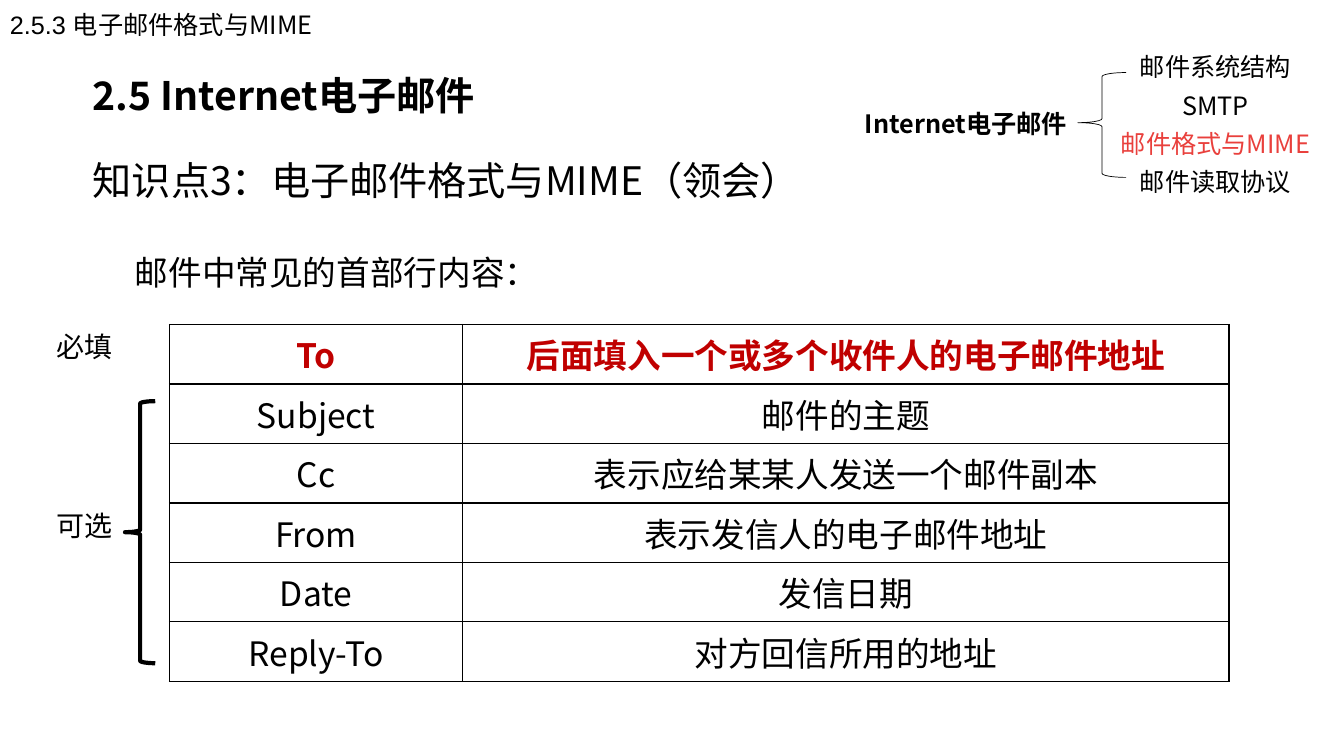
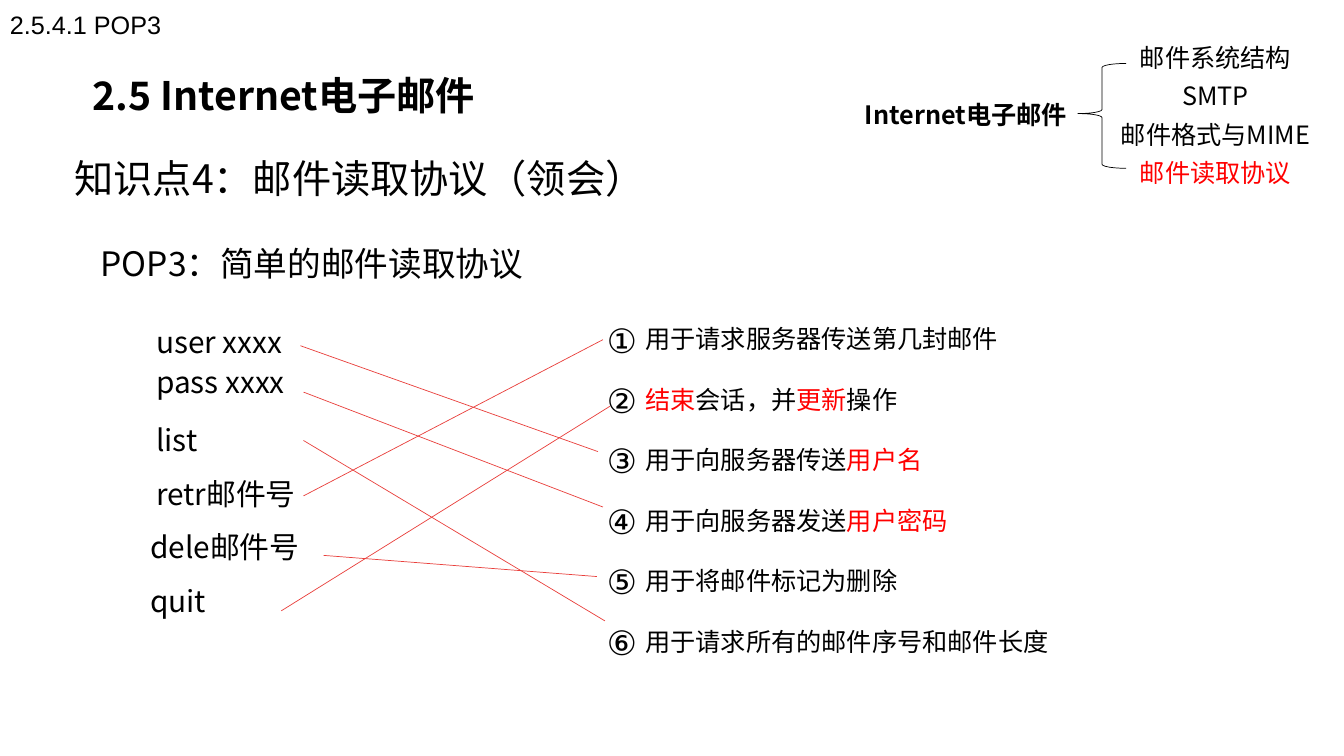
from dataclasses import dataclass

from lxml import etree
from pptx import Presentation
from pptx.dml.color import RGBColor
from pptx.enum.shapes import MSO_CONNECTOR, MSO_SHAPE
from pptx.enum.text import MSO_ANCHOR, MSO_AUTO_SIZE, PP_ALIGN
from pptx.oxml.ns import qn
from pptx.util import Inches, Pt

LEFT, CENTER = PP_ALIGN.LEFT, PP_ALIGN.CENTER
TOP, MIDDLE = MSO_ANCHOR.TOP, MSO_ANCHOR.MIDDLE
NO_AUTOFIT = MSO_AUTO_SIZE.NONE
STRAIGHT = MSO_CONNECTOR.STRAIGHT
LEFT_BRACE = MSO_SHAPE.LEFT_BRACE
TITLE_ONLY, TWO_CONTENT = 5, 3

COLORS = {
    "text": "000000",
    "required": "C00000",
    "accent": "E9403C",
    "key": "FF0000",
}
HAN_FONT = "Noto Sans CJK SC"
LATIN_FONT = "Arial"
NORMAL_INSETS = (0.1, 0.05)
HEADING_INSETS = (0.12, 0.06)

CHAPTER = "2.5 Internet电子邮件"
TOPIC = "Internet电子邮件"
SUBTOPICS = ["邮件系统结构", "SMTP", "邮件格式与MIME", "邮件读取协议"]

HEADER_FIELDS = [
    ("To", "后面填入一个或多个收件人的电子邮件地址"),
    ("Subject", "邮件的主题"),
    ("Cc", "表示应给某某人发送一个邮件副本"),
    ("From", "表示发信人的电子邮件地址"),
    ("Date", "发信日期"),
    ("Reply-To", "对方回信所用的地址"),
]


@dataclass
class Span:
    text: str
    color: str = "text"
    font: str = HAN_FONT


# Text: command, line spacing, space after in points, left indent in inches
COMMANDS = [
    ("user xxxx", 1.0, 3.2, 0.5),
    ("pass xxxx", 1.0, 3.2, 0.5),
    ("list", 1.5, 0, 0.5),
    ("retr邮件号", 1.5, 0, 0.5),
    ("dele邮件号", 1.5, 0, 0.44),
    ("quit", 1.5, 0, 0.44),
]
PURPOSES = [
    "用于请求服务器传送第几封邮件",
    [Span("结束", "key"), Span("会话，并"), Span("更新", "key"), Span("操作")],
    [Span("用于向服务器传送"), Span("用户名", "key")],
    [Span("用于向服务器发送"), Span("用户密码", "key")],
    "用于将邮件标记为删除",
    "用于请求所有的邮件序号和邮件长度",
]
# Start and end of each match, relative to the matching area
MATCHES = [
    ((2.03, 0.27), (4.98, 1.32)),
    ((2.06, 0.73), (5.03, 1.87)),
    ((2.06, 1.21), (5.05, 3.0)),
    ((2.06, 1.76), (5.03, 0.21)),
    ((2.26, 2.35), (4.97, 2.56)),
    ((1.84, 2.9), (5.1, 0.87)),
]


def rgb(name):
    return RGBColor.from_string(COLORS[name])


# Shared text helpers
def write_paragraph(para, content, size, color="text", bold=False, align=LEFT,
                    font=HAN_FONT, spacing=1.0, after=0, indent=0):
    para.alignment = align
    para.line_spacing = spacing
    para.space_before, para.space_after = Pt(0), Pt(after)
    para.font.size, para.font.bold = Pt(size), bold
    para.font.name = font
    para.font.color.rgb = rgb(color)
    properties = para._p.get_or_add_pPr()
    east_asian = etree.SubElement(properties.get_or_add_defRPr(), qn("a:ea"))
    east_asian.set("typeface", HAN_FONT)
    properties.set("marL", str(Inches(indent)))
    properties.set("indent", "0")
    properties.insert_element_before(
        properties.makeelement(qn("a:buNone"), {}),
        "a:tabLst", "a:defRPr", "a:extLst")
    if isinstance(content, str):
        para.add_run().text = content
        return
    for span in content:
        run = para.add_run()
        run.text = span.text
        if span.color != color:
            run.font.color.rgb = rgb(span.color)
        if span.font != font:
            run.font.name = span.font


def prepare_frame(shape, anchor=TOP, insets=NORMAL_INSETS):
    frame = shape.text_frame
    frame.word_wrap = True
    frame.auto_size = NO_AUTOFIT
    frame.vertical_anchor = anchor
    frame.margin_left = frame.margin_right = Inches(insets[0])
    frame.margin_top = frame.margin_bottom = Inches(insets[1])
    return frame


def write_lines(frame, lines, **style):
    for index, line in enumerate(lines):
        para = frame.add_paragraph() if index else frame.paragraphs[0]
        write_paragraph(para, line, **style)


def add_text(shapes, box, lines, anchor=TOP, insets=NORMAL_INSETS, **style):
    shape = shapes.add_textbox(*map(Inches, box))
    write_lines(prepare_frame(shape, anchor, insets), lines, **style)


def place(shape, box):
    shape.left, shape.top, shape.width, shape.height = map(Inches, box)


# Shared drawing helpers
def add_brace(shapes, box, weight, adjustments=()):
    brace = shapes.add_shape(LEFT_BRACE, *map(Inches, box))
    brace.shadow.inherit = False
    brace.fill.background()
    brace.line.color.rgb = rgb("text")
    brace.line.width = Pt(weight)
    for index, value in enumerate(adjustments):
        brace.adjustments[index] = value


def set_borders(cell, weight):
    properties = cell._tc.get_or_add_tcPr()
    for side in ("lnL", "lnR", "lnT", "lnB"):
        border = etree.SubElement(properties, qn(f"a:{side}"), w=str(Pt(weight)))
        fill = etree.SubElement(border, qn("a:solidFill"))
        etree.SubElement(fill, qn("a:srgbClr"), val=COLORS["text"])


# Parts found on every slide
def add_outline(page, left, top, current, color):
    shapes = page.shapes.add_group_shape().shapes
    add_brace(shapes, (left + 2.21, top + 0.18, 0.48, 1.04), 0.5, (0.083, 0.478))
    add_text(shapes, (left, top + 0.49, 2.24, 0.4), [TOPIC], size=18, bold=True)
    for index, subtopic in enumerate(SUBTOPICS):
        add_text(shapes, (left + 2.45, top + 0.38 * index, 2.25, 0.33), [subtopic],
                 size=18, align=CENTER, spacing=Pt(16),
                 color=color if index == current else "text")


def add_page(deck, layout, section, point, point_box, lead, lead_box):
    page = deck.slides.add_slide(deck.slide_layouts[layout])
    title = page.shapes.title
    place(title, (0.8, 0.65, 9.65, 0.59))
    write_lines(prepare_frame(title, TOP, HEADING_INSETS), [CHAPTER],
                size=28, bold=True)
    add_text(page.shapes, point_box, [point], anchor=MIDDLE,
             insets=HEADING_INSETS, size=28, spacing=1.5)
    add_text(page.shapes, lead_box, [lead], size=24, spacing=Pt(37))
    add_text(page.shapes, (0, 0.04, 4.1, 0.4), [section], size=18, font=LATIN_FONT)
    return page


# Table of header lines with its required and optional labels
def add_header_table(page, left, top):
    row_height, widths = 0.59, (2.91, 7.6)
    table = page.shapes.add_table(
        len(HEADER_FIELDS), len(widths), Inches(left), Inches(top),
        Inches(sum(widths)), Inches(row_height * len(HEADER_FIELDS))).table
    table.first_row = table.horz_banding = False
    for column, width in zip(table.columns, widths):
        column.width = Inches(width)
    for index, (row, field) in enumerate(zip(table.rows, HEADER_FIELDS)):
        row.height = Inches(row_height)
        required = index == 0
        for cell, text in zip(row.cells, field):
            set_borders(cell, 1)
            cell.fill.background()
            cell.vertical_anchor = MIDDLE
            write_lines(cell.text_frame, [text], size=24, align=CENTER,
                        bold=required, color="required" if required else "text")
    for label, offset in (("必填", 0), ("可选", 1.78)):
        add_text(page.shapes, (left - 1.22, top + offset, 1.08, 0.44), [label],
                 size=20, font=LATIN_FONT)
    add_brace(page.shapes, (left - 0.44, top + 0.76, 0.3, 2.6), 3)


# Commands on the left matched by lines to purposes on the right
def add_matching(page, left, top):
    commands, purposes = page.placeholders[1], page.placeholders[2]
    place(commands, (left, top, 2.85, 3.78))
    frame = prepare_frame(commands)
    for index, (text, spacing, after, indent) in enumerate(COMMANDS):
        para = frame.add_paragraph() if index else frame.paragraphs[0]
        write_paragraph(para, text, 21.3, spacing=spacing, after=after, indent=indent)

    place(purposes, (left + 5.35, top, 6, 3.43))
    write_lines(prepare_frame(purposes), PURPOSES, size=18, after=21.6)
    add_text(page.shapes, (left + 4.97, top - 0.24, 1.07, 3.73), "①②③④⑤⑥",
             size=24, font=LATIN_FONT, spacing=1.5)

    for start, end in MATCHES:
        line = page.shapes.add_connector(
            STRAIGHT, Inches(left + start[0]), Inches(top + start[1]),
            Inches(left + end[0]), Inches(top + end[1]))
        line.line.color.rgb = rgb("accent")
        line.line.width = Pt(0.5)
        etree.SubElement(line._element.spPr, qn("a:effectLst"))


def build_format_slide(deck):
    section = [Span("2.5.3 ", font=LATIN_FONT), Span("电子邮件格式与MIME")]
    page = add_page(deck, TITLE_ONLY, section,
                    "知识点3：电子邮件格式与MIME（领会）", (0.8, 1.15, 12.16, 1.04),
                    "邮件中常见的首部行内容：", (1.24, 2.34, 10.94, 0.62))
    add_outline(page, 8.48, 0.54, 2, "accent")
    add_header_table(page, 1.68, 3.22)


def build_pop3_slide(deck):
    page = add_page(deck, TWO_CONTENT, "2.5.4.1 POP3",
                    "知识点4：邮件读取协议（领会）", (0.62, 1.13, 6.04, 1.04),
                    "POP3：简单的邮件读取协议", (0.9, 2.25, 4.67, 0.62))
    add_outline(page, 8.48, 0.45, 3, "key")
    add_matching(page, 0.95, 3.16)


def main():
    deck = Presentation()
    deck.slide_width, deck.slide_height = Inches(13.33), Inches(7.5)
    build_format_slide(deck)
    build_pop3_slide(deck)
    deck.save("out.pptx")


if __name__ == "__main__":
    main()
